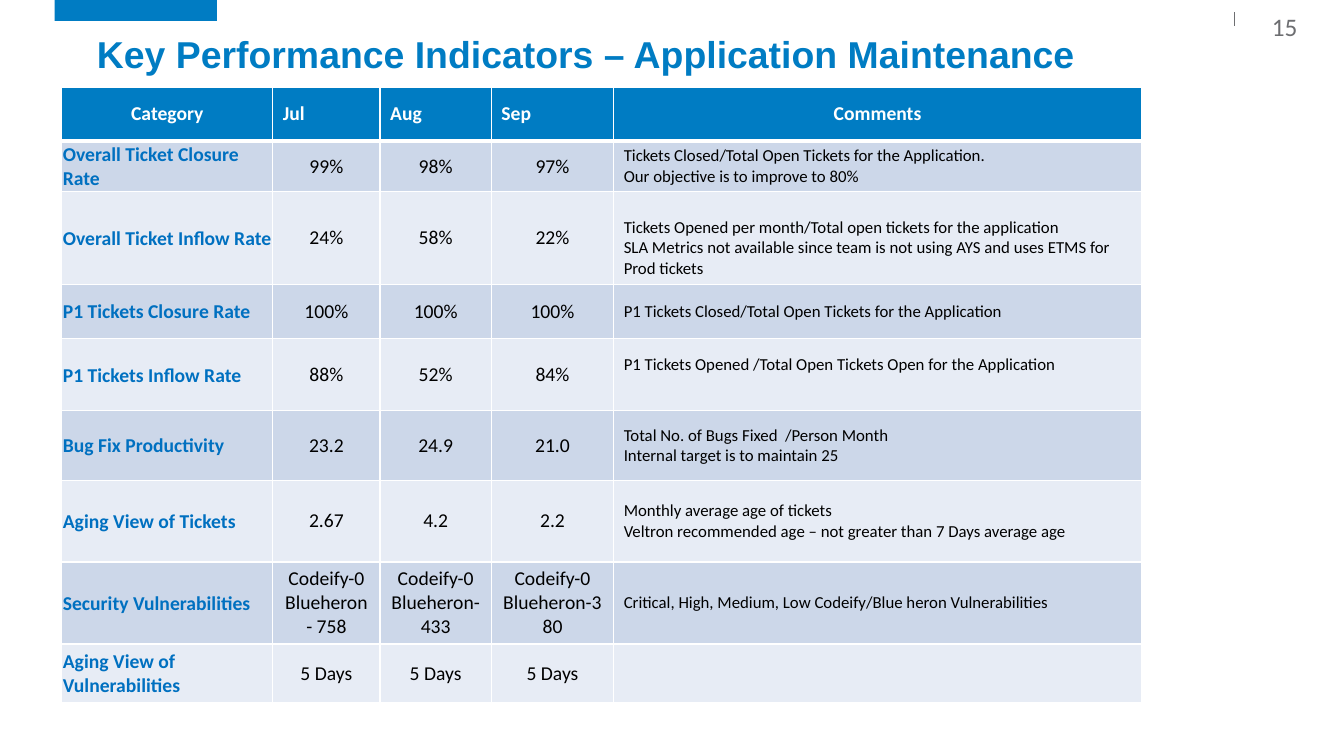
import pptx
import pptx.util
import pptx.dml.color
import pptx.enum.shapes
import pptx.enum.text
import pptx.oxml
import pptx.oxml.ns

Pt = pptx.util.Pt
ALIGN = pptx.enum.text.PP_ALIGN
ANCHOR = pptx.enum.text.MSO_ANCHOR
COLORS = {
    "brand": "007CC3",
    "label": "0070C0",
    "text": "000000",
    "white": "FFFFFF",
    "grey": "6D6E71",
    "dark": "CCD7E9",
    "light": "E7ECF5",
}
WIDTHS = [150.7, 76.6, 79.5, 87.4, 377]
HEIGHTS = [38, 36.5, 66, 39, 51.5, 49.5, 58.5, 58.5, 42]
ROWS = [
    ["Category", "Jul", "Aug", "Sep", "Comments"],
    ["Overall Ticket Closure Rate", "99%", "98%", "97%",
     "Tickets Closed/Total Open Tickets for the Application.\n"
     "Our objective is to improve to 80%"],
    ["Overall Ticket Inflow Rate", "24%", "58%", "22%",
     "Tickets Opened per month/Total open tickets for the application\n"
     "SLA Metrics not available since team is not using AYS and uses ETMS for Prod tickets"],
    ["P1 Tickets Closure Rate", "100%", "100%", "100%",
     "P1 Tickets Closed/Total Open Tickets for the Application"],
    ["P1 Tickets Inflow Rate", "88%", "52%", "84%",
     "P1 Tickets Opened /Total Open Tickets Open for the Application"],
    ["Bug Fix Productivity", "23.2", "24.9", "21.0",
     "Total No. of Bugs Fixed  /Person Month\nInternal target is to maintain 25"],
    ["Aging View of Tickets", "2.67", "4.2", "2.2",
     "Monthly average age of tickets\n"
     "Veltron recommended age – not greater than 7 Days average age"],
    ["Security Vulnerabilities", "Codeify-0\nBlueheron- 758",
     "Codeify-0\nBlueheron-433", "Codeify-0\nBlueheron-380",
     "Critical, High, Medium, Low Codeify/Blue heron Vulnerabilities"],
    ["Aging View of Vulnerabilities", "5 Days", "5 Days", "5 Days", ""],
]


def color(name):
    return pptx.dml.color.RGBColor.from_string(COLORS[name])


def write(frame, text, size, shade, bold=False, align=ALIGN.LEFT, face="Calibri"):
    frame.word_wrap = True
    frame.text = text
    for para in frame.paragraphs:
        para.alignment = align
        para.font.name = face
        para.font.size = Pt(size)
        para.font.bold = bold
        para.font.color.rgb = color(shade)


def border(cell, base):
    props = cell._tc.get_or_add_tcPr()
    for side, width in zip("LRTB", (1, 1, 1, base)):
        props.append(pptx.oxml.parse_xml(
            f'<a:ln{side} {pptx.oxml.ns.nsdecls("a")} w="{Pt(width)}"><a:solidFill>'
            f'<a:srgbClr val="{COLORS["white"]}"/></a:solidFill></a:ln{side}>'))


def add_bar(slide):
    bar = slide.shapes.add_shape(
        pptx.enum.shapes.MSO_SHAPE.RECTANGLE, Pt(39), Pt(0), Pt(116), Pt(15))
    bar.shadow.inherit = False
    bar.fill.solid()
    bar.fill.fore_color.rgb = color("brand")
    bar.line.fill.background()


def add_rule(slide):
    rule = slide.shapes.add_connector(
        pptx.enum.shapes.MSO_CONNECTOR.STRAIGHT, Pt(882), Pt(8.6), Pt(882), Pt(18.7))
    rule.line.color.rgb = color("grey")
    rule.line.width = Pt(1)
    rule._element.spPr.append(
        pptx.oxml.parse_xml(f'<a:effectLst {pptx.oxml.ns.nsdecls("a")}/>'))


def fill_cell(cell, text, row, col):
    border(cell, 1 if row else 3)
    cell.fill.solid()
    cell.vertical_anchor = ANCHOR.MIDDLE
    middle = ALIGN.CENTER
    if row == 0:
        cell.fill.fore_color.rgb = color("brand")
        align = middle if col in (0, 4) else ALIGN.LEFT
        write(cell.text_frame, text, 14, "white", True, align)
        return
    cell.fill.fore_color.rgb = color("dark" if row % 2 else "light")
    if col == 0:
        cell.margin_left = cell.margin_right = cell.margin_top = Pt(0.72)
        cell.margin_bottom = Pt(0)
        write(cell.text_frame, text, 14, "label", True)
    elif col == 4:
        write(cell.text_frame, text, 12, "text")
    else:
        write(cell.text_frame, text, 14, "text", align=middle)


def add_grid(slide):
    frame = slide.shapes.add_table(
        len(ROWS), len(WIDTHS), Pt(44.2), Pt(62.6), Pt(sum(WIDTHS)), Pt(sum(HEIGHTS)))
    grid = frame.table
    for column, width in zip(grid.columns, WIDTHS):
        column.width = Pt(width)
    for line, height in zip(grid.rows, HEIGHTS):
        line.height = Pt(height)
    for row, texts in enumerate(ROWS):
        for col, text in enumerate(texts):
            fill_cell(grid.cell(row, col), text, row, col)
    grid.cell(2, 4).margin_top = Pt(18)
    grid.cell(4, 4).margin_bottom = Pt(18)


def add_title(slide):
    title = slide.shapes.title
    title.left, title.top, title.width, title.height = Pt(62), Pt(22.3), Pt(859), Pt(40.3)
    frame = title.text_frame
    write(frame, "Key Performance Indicators – Application Maintenance",
          26.7, "brand", True, face="Arial")
    frame.auto_size = pptx.enum.text.MSO_AUTO_SIZE.NONE
    frame.vertical_anchor = ANCHOR.TOP
    frame.paragraphs[0].line_spacing = 0.9


def add_page(slide):
    box = slide.shapes.add_textbox(Pt(901.4), Pt(4.3), Pt(37.4), Pt(18))
    write(box.text_frame, "15", 18, "grey")


def main():
    deck = pptx.Presentation()
    deck.slide_width, deck.slide_height = Pt(960), Pt(540)
    slide = deck.slides.add_slide(deck.slide_layouts[5])
    add_bar(slide)
    add_rule(slide)
    add_grid(slide)
    add_title(slide)
    add_page(slide)
    deck.save("out.pptx")


if __name__ == "__main__":
    main()
